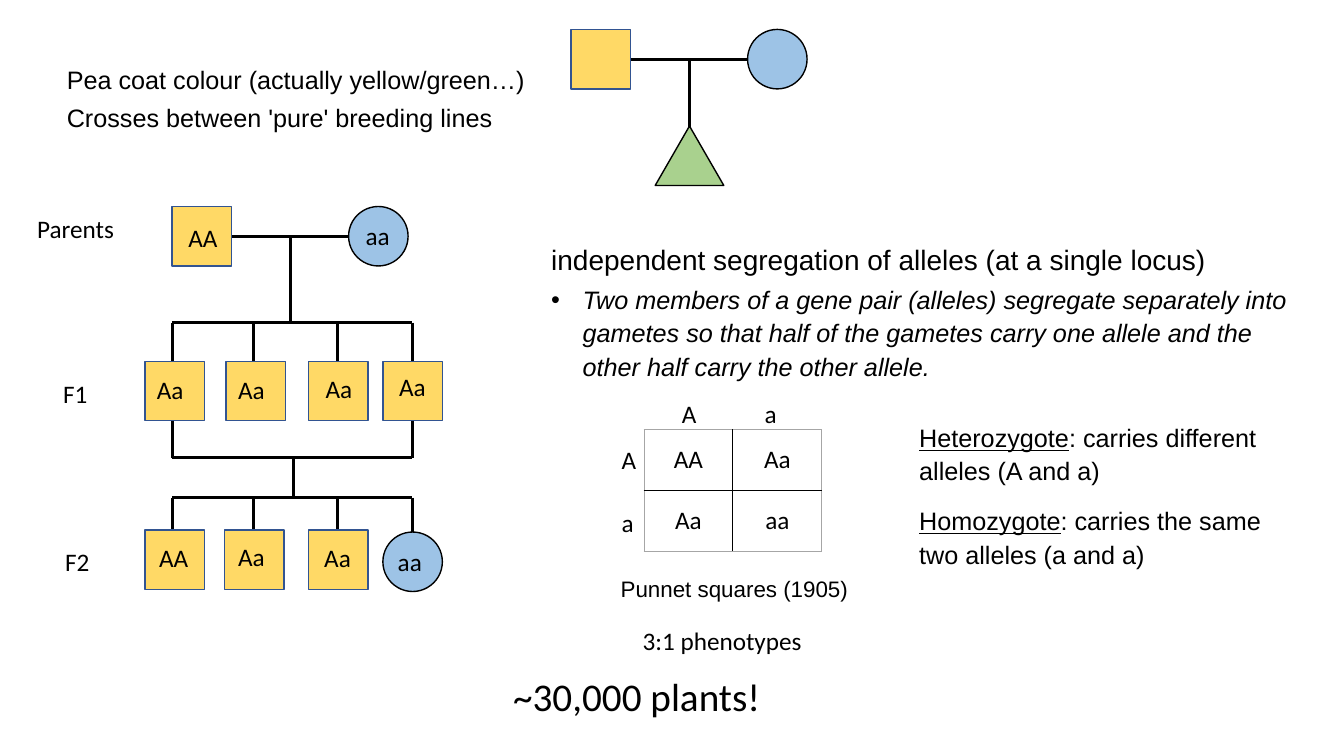
import pptx
import pptx.dml.color
import pptx.enum.shapes
import pptx.enum.text
import pptx.util
from lxml import etree
from pptx.oxml.ns import qn

Pt = pptx.util.Pt
RGBColor = pptx.dml.color.RGBColor
SHAPE = pptx.enum.shapes.MSO_SHAPE
ALIGN = pptx.enum.text.PP_ALIGN
ANCHOR = pptx.enum.text.MSO_ANCHOR
AUTO_SIZE = pptx.enum.text.MSO_AUTO_SIZE

BLACK = RGBColor(0x00, 0x00, 0x00)
GREY = RGBColor(0xA6, 0xA6, 0xA6)
YELLOW = RGBColor(0xFF, 0xD9, 0x66)
BLUE = RGBColor(0x9D, 0xC3, 0xE6)
GREEN = RGBColor(0xA9, 0xD1, 0x8E)
NAVY = RGBColor(0x32, 0x54, 0x91)

NODE = 42.5  # side of a square, diameter of a circle
STEMS = (123, 181, 241, 294.5)  # one for each of the four offspring


def add_text(p, text, font="Calibri", size=18, italic=False, underline=False):
    r = p.add_run()
    r.text = text
    r.font.name = font
    r.font.size = Pt(size)
    r.font.italic = italic
    r.font.underline = underline
    r.font.color.rgb = BLACK


def format_paragraph(p, after=0, spacing=1.0, align=ALIGN.LEFT, bullet=None, indent=0):
    pPr = p._p.get_or_add_pPr()
    pPr.set("marL", str(Pt(indent)))
    pPr.set("indent", str(-Pt(indent)))
    if bullet:
        etree.SubElement(pPr, qn("a:buChar")).set("char", bullet)
    else:
        etree.SubElement(pPr, qn("a:buNone"))
    p.alignment = align
    p.space_before = Pt(0)
    p.space_after = Pt(after)
    p.line_spacing = spacing


def set_border(cell, side, color, width):
    ln = etree.SubElement(cell._tc.get_or_add_tcPr(), qn("a:" + side), w=str(Pt(width)))
    fill = etree.SubElement(ln, qn("a:solidFill"))
    etree.SubElement(fill, qn("a:srgbClr"), val=str(color))


class PedigreeSlide:
    def __init__(self, s):
        self.s = s

    def fill_frame(self, sp, paragraphs):
        """Each paragraph is a pair: its runs as (text, format), and its own format."""
        tf = sp.text_frame
        tf.word_wrap = True
        tf.vertical_anchor = ANCHOR.TOP
        for i, (runs, fmt) in enumerate(paragraphs):
            p = tf.add_paragraph() if i else tf.paragraphs[0]
            format_paragraph(p, **fmt)
            for text, run_fmt in runs:
                add_text(p, text, **run_fmt)

    def placeholder(self, sp, x, y, w, h, paragraphs):
        sp.left, sp.top, sp.width, sp.height = Pt(x), Pt(y), Pt(w), Pt(h)
        self.fill_frame(sp, paragraphs)
        sp.text_frame.auto_size = AUTO_SIZE.NONE

    def text_box(self, x, y, w, h, paragraphs):
        sp = self.s.shapes.add_textbox(Pt(x), Pt(y), Pt(w), Pt(h))
        self.fill_frame(sp, paragraphs)
        sp.text_frame.auto_size = AUTO_SIZE.SHAPE_TO_FIT_TEXT
        return sp

    def label(self, text, x, y, w, h=29, size=18):
        sp = self.text_box(x, y, w, h, [([(text, {"size": size})], {})])
        sp.text_frame.word_wrap = False

    def shape(self, kind, x, y, fill, line=BLACK, w=NODE):
        sp = self.s.shapes.add_shape(kind, Pt(x), Pt(y), Pt(w), Pt(NODE))
        sp.shadow.inherit = False
        sp.fill.solid()
        sp.fill.fore_color.rgb = fill
        sp.line.color.rgb = line
        sp.line.width = Pt(1)

    def square(self, x, y):
        self.shape(SHAPE.RECTANGLE, x, y, YELLOW, NAVY)

    def circle(self, x, y):
        self.shape(SHAPE.OVAL, x, y, BLUE)

    def line(self, x1, y1, x2, y2):
        kind = pptx.enum.shapes.MSO_CONNECTOR.STRAIGHT
        c = self.s.shapes.add_connector(kind, Pt(x1), Pt(y1), Pt(x2), Pt(y2))
        c.line.color.rgb = BLACK
        c.line.width = Pt(2.25)
        etree.SubElement(c._element.spPr, qn("a:effectLst"))

    def couple(self, x, y):
        """A square and a circle joined by a line, with a line of descent."""
        middle = y + NODE / 2
        self.line(x + 42, middle, x + 129, middle)
        self.line(x + 84.5, middle, x + 84.5, middle + 62)
        self.square(x, y)
        self.circle(x + 126, y)

    def rail(self, y, stems, end):
        """A horizontal line with a stem from it to the height end at each x."""
        self.line(stems[0], y, stems[-1], y)
        for x in stems:
            self.line(x, y, x, end)

    def table(self, x, y, col, row, rows):
        n, m = len(rows), len(rows[0])
        t = self.s.shapes.add_table(n, m, Pt(x), Pt(y), Pt(col * m), Pt(row * n)).table
        t.first_row = t.horz_banding = False
        for i, texts in enumerate(rows):
            t.rows[i].height = Pt(row)
            for j, text in enumerate(texts):
                t.columns[j].width = Pt(col)
                cell = t.cell(i, j)
                cell.vertical_anchor = ANCHOR.MIDDLE
                p = cell.text_frame.paragraphs[0]
                p.alignment = ALIGN.CENTER
                add_text(p, text)
                edges = {"lnL": j == 0, "lnR": j == m - 1, "lnT": i == 0, "lnB": i == n - 1}
                for side, outer in edges.items():
                    set_border(cell, side, *((GREY, 0.5) if outer else (BLACK, 1)))
                cell.fill.background()


def main():
    prs = pptx.Presentation()
    prs.slide_width, prs.slide_height = Pt(960), Pt(540)
    s = prs.slides.add_slide(prs.slide_layouts[1])
    slide = PedigreeSlide(s)
    arial = {"font": "Arial"}

    slide.placeholder(s.shapes.title, 40.5, 42, 414, 57, [
        ([("Pea coat colour (actually yellow/green…)", arial)], {"after": 6}),
        ([("Crosses between 'pure' breeding lines", arial)], {"after": 6}),
    ])
    slide.placeholder(s.placeholders[1], 386.5, 167, 548, 108, [
        ([("independent segregation of alleles (at a single locus)",
           {"font": "Arial", "size": 20})], {"after": 4, "spacing": 1.1}),
        ([("Two members of a gene pair (alleles) segregate separately into gametes "
           "so that half of the gametes carry one allele and the other half carry "
           "the other allele.", {"font": "Arial", "italic": True})],
         {"after": 4, "spacing": 1.1, "bullet": "•", "indent": 22.5}),
    ])

    slide.couple(408, 21)
    slide.shape(SHAPE.ISOSCELES_TRIANGLE, 468, 90, GREEN, w=49)

    slide.couple(123, 147.5)
    slide.rail(230.5, STEMS, 259.5)
    slide.rail(327, (STEMS[0], STEMS[-1]), 298)
    slide.line(209.5, 327, 209.5, 356)
    slide.rail(355.5, STEMS, 385)
    for x in (103.5, 161.5, 220.5, 273.5):
        slide.square(x, 258)
    for x in (103.5, 160.5, 220.5):
        slide.square(x, 378.5)
    slide.circle(273.5, 380)

    slide.table(460, 307, 63.5, 43.5, [("AA", "Aa"), ("Aa", "aa")])

    for text, x, y, w in (
        ("Parents", 19.5, 149, 70), ("F1", 38, 267, 32), ("F2", 39.5, 387, 32),
        ("AA", 127.5, 155, 35), ("aa", 254, 154, 32),
        ("Aa", 105, 264, 34), ("Aa", 163, 264, 34), ("Aa", 225.5, 263, 34),
        ("Aa", 278, 262, 34),
        ("AA", 106.5, 384, 35), ("Aa", 163, 383, 34), ("Aa", 224.5, 384, 34),
        ("aa", 277, 387, 32),
        ("A", 480, 281, 25), ("a", 539, 281, 23), ("A", 437, 314, 25), ("a", 437, 359, 23),
        ("3:1 phenotypes", 452, 443, 130),
    ):
        slide.label(text, x, y, w)
    slide.label("~30,000 plants!", 359.5, 477, 194, 41, size=28)

    slide.text_box(422.5, 407.5, 204, 27, [
        ([("Punnet squares (1905)", {"font": "Arial", "size": 16})],
         {"after": 6, "align": ALIGN.CENTER}),
    ])
    slide.text_box(649.5, 296, 263.5, 114, [
        ([(term, {"font": "Arial", "underline": True}), (meaning, arial)],
         {"after": 12, "spacing": 1.1})
        for term, meaning in (
            ("Heterozygote", ": carries different alleles (A and a)"),
            ("Homozygote", ": carries the same two alleles (a and a)"),
        )
    ])
    prs.save("out.pptx")


if __name__ == "__main__":
    main()
